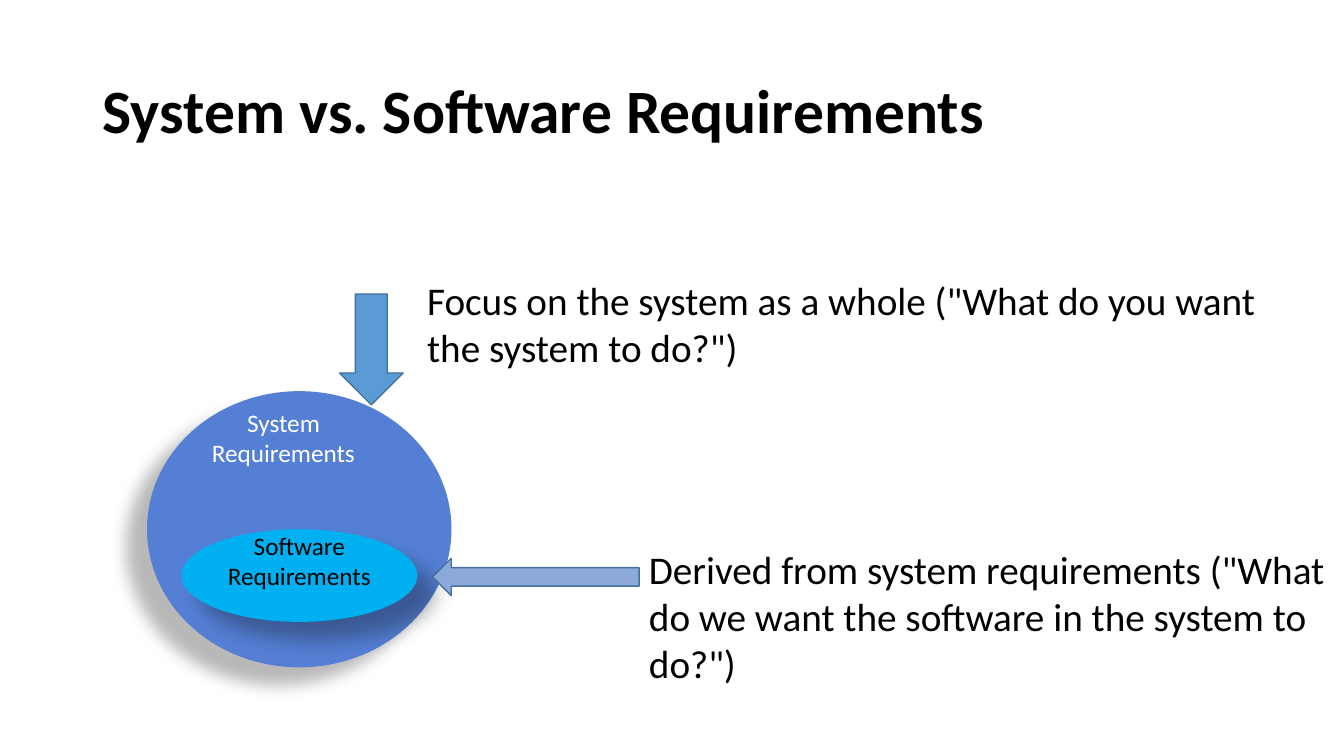
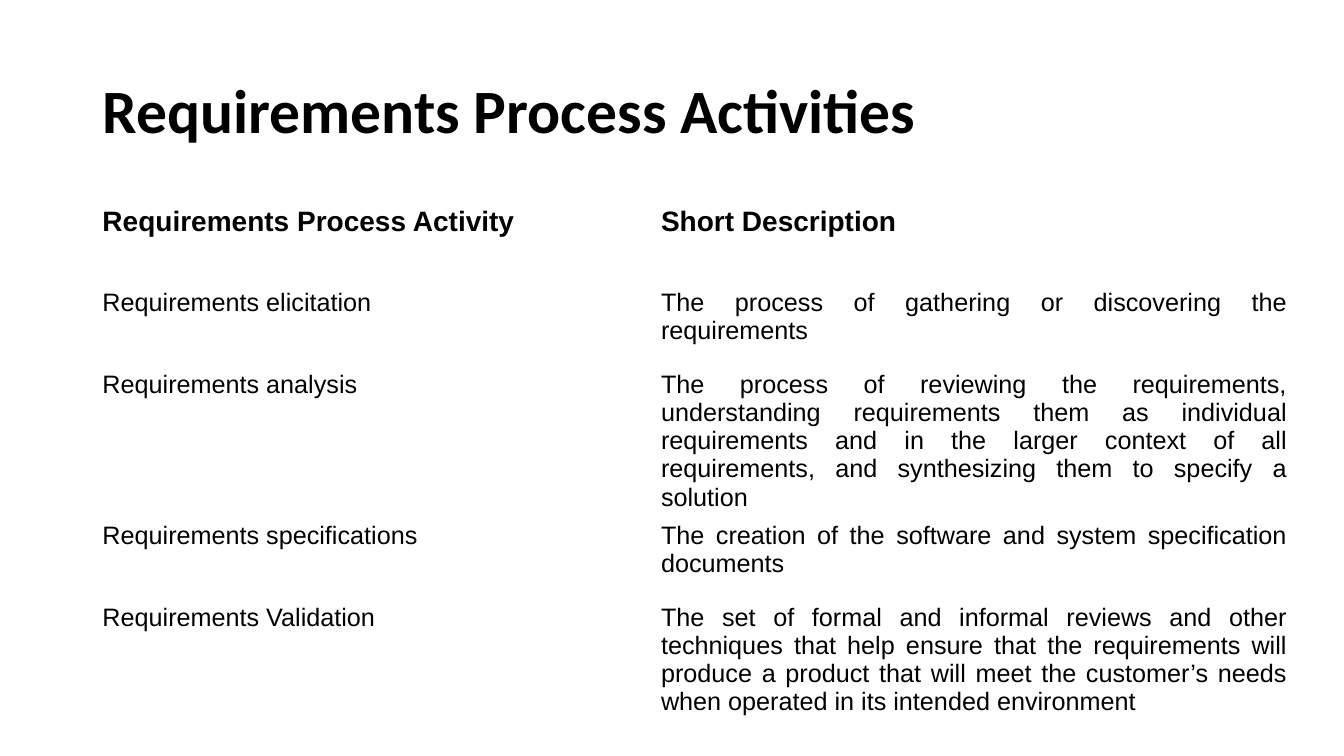
from lxml import etree
from pptx import Presentation
from pptx.dml.color import RGBColor
from pptx.enum import shapes, text
from pptx.oxml.ns import qn
from pptx.util import Pt

BLACK = RGBColor(0x00, 0x00, 0x00)
WHITE = RGBColor(0xFF, 0xFF, 0xFF)
SYSTEM_BLUE = RGBColor(0x54, 0x7F, 0xD4)
SOFTWARE_BLUE = RGBColor(0x00, 0xB0, 0xF0)
ARROW_BLUE = RGBColor(0x5B, 0x9B, 0xD5)
ARROW_PALE = RGBColor(0x8D, 0xA9, 0xDB)
ARROW_EDGE = RGBColor(0x42, 0x71, 0x9B)

SHAPE = shapes.MSO_SHAPE
ALIGN = text.PP_ALIGN
ANCHOR = text.MSO_ANCHOR


class Deck:
    """Holds the shared style and the slide being filled; lengths are points."""

    HEADING, TABLE_FONT = "Calibri", "Arial"
    TITLE_BOX = (66, 29, 828, 104)

    def __init__(self):
        self.prs = Presentation()
        self.prs.slide_width, self.prs.slide_height = Pt(960), Pt(540)
        self.s = None

    def set_text(self, tf, content, size, color=BLACK, font=HEADING, bold=False,
                 align=ALIGN.LEFT):
        tf.word_wrap = True
        p = tf.paragraphs[0]
        p.text = content
        p.alignment = align
        f = p.font
        f.size, f.name, f.bold, f.color.rgb = Pt(size), font, bold, color
        return p

    def slide(self, title):
        self.s = self.prs.slides.add_slide(self.prs.slide_layouts[5])
        sp = self.s.shapes.title
        sp.left, sp.top, sp.width, sp.height = map(Pt, self.TITLE_BOX)
        tf = sp.text_frame
        tf.auto_size = text.MSO_AUTO_SIZE.NONE
        tf.vertical_anchor = ANCHOR.MIDDLE
        self.set_text(tf, title, 44, bold=True).line_spacing = 0.9

    def label(self, box, content, size=28, **style):
        sp = self.s.shapes.add_textbox(*map(Pt, box))
        self.set_text(sp.text_frame, content, size, **style)

    def shape(self, kind, box, fill, edge=None):
        sp = self.s.shapes.add_shape(kind, *map(Pt, box))
        sp.shadow.inherit = False
        sp.fill.solid()
        sp.fill.fore_color.rgb = fill
        if edge is None:
            sp.line.fill.background()
        else:
            sp.line.color.rgb, sp.line.width = edge, Pt(1)
        return sp

    def ellipse(self, box, fill, opacity, blur, distance, angle):
        """Draw an ellipse with a soft black shadow (opacity in percent)."""
        sp = self.shape(SHAPE.OVAL, box, fill)
        effects = sp._element.spPr.find(qn("a:effectLst"))
        shadow = etree.SubElement(
            effects, qn("a:outerShdw"), blurRad=str(Pt(blur)),
            dist=str(Pt(distance)), dir=str(angle * 60000), rotWithShape="0")
        color = etree.SubElement(shadow, qn("a:srgbClr"), val=str(BLACK))
        etree.SubElement(color, qn("a:alpha"), val=str(opacity * 1000))
        return sp

    def table(self, left, top, widths, heights, rows):
        frame = self.s.shapes.add_table(
            len(rows), len(widths), *map(Pt, (left, top, sum(widths), sum(heights))))
        table = frame.table
        table.first_row = table.horz_banding = False
        for column, width in zip(table.columns, widths):
            column.width = Pt(width)
        for i, (row, height) in enumerate(zip(rows, heights)):
            table.rows[i].height = Pt(height)
            header = i == 0
            for j, content in enumerate(row):
                cell = table.cell(i, j)
                cell.fill.background()
                self.set_text(cell.text_frame, content, 20 if header else 18,
                              font=self.TABLE_FONT, bold=header,
                              align=ALIGN.LEFT if header else ALIGN.JUSTIFY)


def requirements_scope(deck):
    deck.slide("System vs. Software Requirements")
    deck.ellipse((105, 279.4, 217.5, 197.3), SYSTEM_BLUE, 28, 11.8, 19.7, 141)
    software = deck.ellipse((129.6, 378, 168.5, 66.2), SOFTWARE_BLUE, 30, 15, 18, 45)
    tf = software.text_frame
    tf.vertical_anchor = ANCHOR.MIDDLE
    tf.margin_left = tf.margin_right = Pt(4)
    tf.margin_top, tf.margin_bottom = Pt(3.6), Pt(24.6)
    deck.set_text(tf, "Software Requirements", 18, align=ALIGN.CENTER)
    deck.label((141, 287.3, 123, 51), "System Requirements", 18,
               color=WHITE, align=ALIGN.CENTER)
    deck.shape(SHAPE.DOWN_ARROW, (242.5, 210, 45.5, 79.2), ARROW_BLUE, ARROW_EDGE)
    deck.shape(SHAPE.LEFT_ARROW, (309, 398.8, 147.5, 26.6), ARROW_PALE, ARROW_EDGE)
    deck.label((298, 193.7, 621.5, 75),
               'Focus on the system as a whole ("What do you want the system to do?")')
    deck.label((456.5, 386, 503.5, 108.7),
               'Derived from system requirements ("What do we want the software '
               'in the system to do?")')


def process_activities(deck):
    deck.slide("Requirements Process Activities")
    deck.table(66, 144, (399, 461.5), (58.5, 58.5, 72.5, 58.5, 58.5), (
        ("Requirements Process Activity", "Short Description"),
        ("Requirements elicitation",
         "The process of gathering or discovering the requirements"),
        ("Requirements analysis",
         "The process of reviewing the requirements, understanding requirements "
         "them as individual requirements and in the larger context of all "
         "requirements, and synthesizing them to specify a solution"),
        ("Requirements specifications",
         "The creation of the software and system specification documents"),
        ("Requirements Validation",
         "The set of formal and informal reviews and other techniques that help "
         "ensure that the requirements will produce a product that will meet the "
         "customer’s needs when operated in its intended environment"),
    ))


def main():
    deck = Deck()
    requirements_scope(deck)
    process_activities(deck)
    deck.prs.save("out.pptx")


if __name__ == "__main__":
    main()
